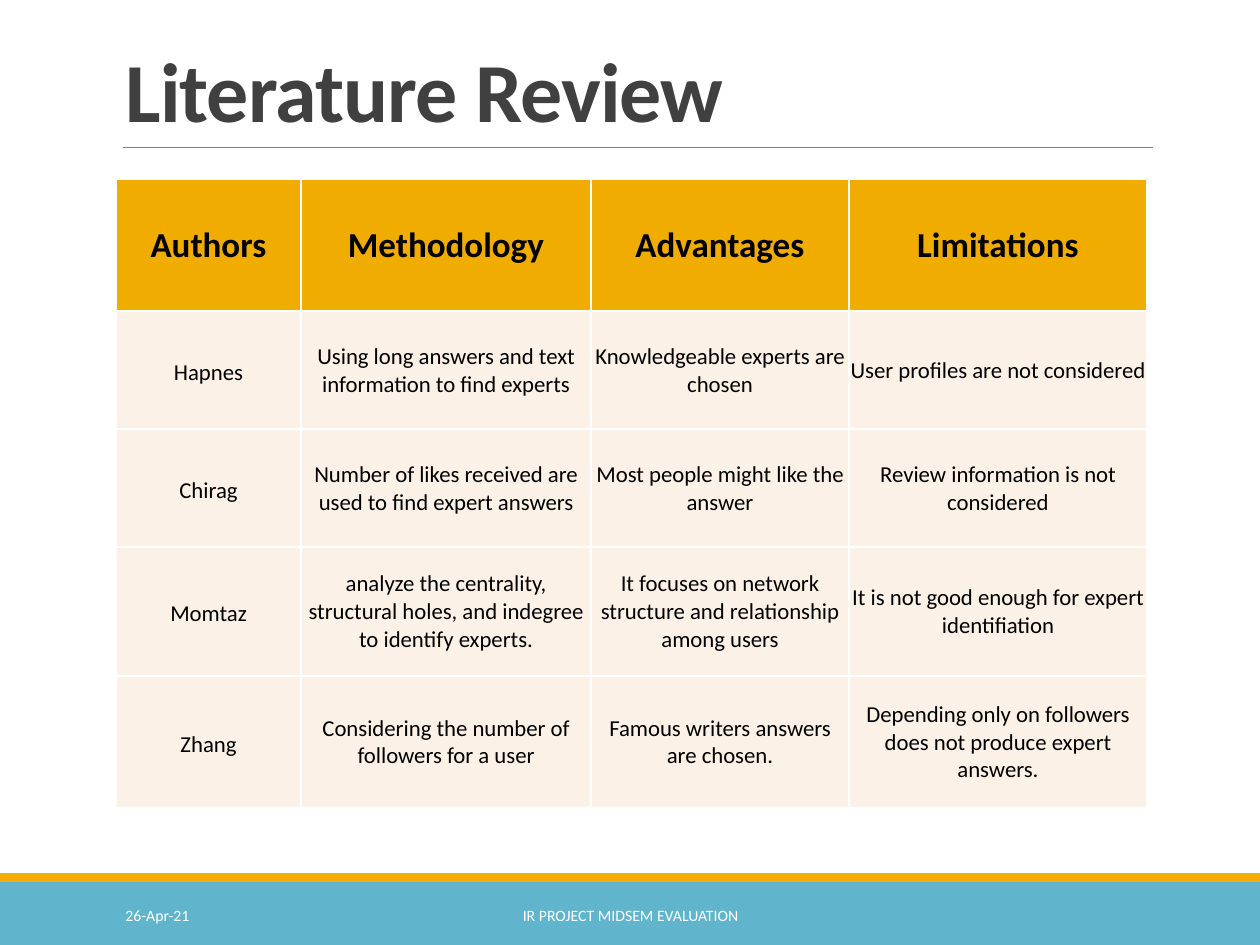
from dataclasses import dataclass

import lxml.etree
import pptx
import pptx.dml.color
import pptx.enum.shapes
import pptx.enum.text
import pptx.oxml.ns
import pptx.util

PX_PER_INCH = 126
FONT = "Calibri"

WHITE = pptx.dml.color.RGBColor(0xFF, 0xFF, 0xFF)
BLACK = pptx.dml.color.RGBColor(0x00, 0x00, 0x00)
CHARCOAL = pptx.dml.color.RGBColor(0x40, 0x40, 0x40)
GRAY = pptx.dml.color.RGBColor(0x80, 0x80, 0x80)
TEAL = pptx.dml.color.RGBColor(0x60, 0xB5, 0xCC)
AMBER = pptx.dml.color.RGBColor(0xF0, 0xAD, 0x00)
CREAM = pptx.dml.color.RGBColor(0xFC, 0xF1, 0xE7)

LEFT = pptx.enum.text.PP_ALIGN.LEFT
CENTER = pptx.enum.text.PP_ALIGN.CENTER
MIDDLE = pptx.enum.text.MSO_ANCHOR.MIDDLE
BOTTOM = pptx.enum.text.MSO_ANCHOR.BOTTOM


@dataclass
class Box:
    left: int
    top: int
    width: int
    height: int


@dataclass
class Band:
    box: Box
    color: pptx.dml.color.RGBColor


@dataclass
class Label:
    text: str
    box: Box
    size: int
    color: pptx.dml.color.RGBColor
    bold: bool = False
    align: pptx.enum.text.PP_ALIGN = LEFT
    anchor: pptx.enum.text.MSO_ANCHOR = MIDDLE
    line_spacing: float = 1.0
    letter_spacing: float = 0


BANDS = [
    Band(Box(0, 882, 1260, 63), TEAL),
    Band(Box(0, 873, 1260, 9), AMBER),
]
LABELS = [
    Label("Literature Review", Box(113, 39, 1040, 107), 48, CHARCOAL, bold=True,
          anchor=BOTTOM, line_spacing=0.85, letter_spacing=-0.5),
    Label("26-Apr-21", Box(113, 890, 256, 50), 9, WHITE),
    Label("IR PROJECT MIDSEM EVALUATION", Box(381, 890, 499, 50), 9, WHITE, align=CENTER),
]

TABLE_LEFT, TABLE_TOP = 116, 179
COLUMN_WIDTHS = [185, 290, 258, 298]
ROW_HEIGHTS = [132, 118, 118, 129, 132]
REVIEW_ROWS = [
    ["Authors", "Methodology", "Advantages", "Limitations"],
    ["Hapnes", "Using long answers and text information to find experts",
     "Knowledgeable experts are chosen", "User profiles are not considered"],
    ["Chirag", "Number of likes received are used to find expert answers",
     "Most people might like the answer", "Review information is not considered"],
    ["Momtaz", "analyze the centrality, structural holes, and indegree to identify experts.",
     "It focuses on network structure and relationship among users",
     "It is not good enough for expert identifiation"],
    ["Zhang", "Considering the number of followers for a user",
     "Famous writers answers are chosen.",
     "Depending only on followers does not produce expert answers."],
]


def px(length: int) -> pptx.util.Emu:
    return pptx.util.Emu(round(length * 914400 / PX_PER_INCH))


def place(box: Box) -> list[pptx.util.Emu]:
    return [px(length) for length in (box.left, box.top, box.width, box.height)]


def format_paragraph(paragraph, size: int, color: pptx.dml.color.RGBColor, bold: bool,
                     align: pptx.enum.text.PP_ALIGN, line_spacing: float) -> None:
    paragraph.alignment = align
    paragraph.line_spacing = line_spacing
    for run in paragraph.runs:
        run.font.name = FONT
        run.font.size = pptx.util.Pt(size)
        run.font.bold = bold
        run.font.color.rgb = color


def draw_band(slide, band: Band) -> None:
    shape = slide.shapes.add_shape(pptx.enum.shapes.MSO_SHAPE.RECTANGLE, *place(band.box))
    shape.shadow.inherit = False
    shape.fill.solid()
    shape.fill.fore_color.rgb = band.color
    shape.line.fill.background()


def draw_rule(slide, left: int, right: int, top: int) -> None:
    connector = slide.shapes.add_connector(
        pptx.enum.shapes.MSO_CONNECTOR.STRAIGHT, px(left), px(top), px(right), px(top))
    connector.line.color.rgb = GRAY
    connector.line.width = pptx.util.Pt(0.5)
    lxml.etree.SubElement(connector._element.spPr, pptx.oxml.ns.qn("a:effectLst"))


def draw_label(slide, label: Label) -> None:
    text_frame = slide.shapes.add_textbox(*place(label.box)).text_frame
    text_frame.word_wrap = True
    text_frame.vertical_anchor = label.anchor
    text_frame.text = label.text
    paragraph = text_frame.paragraphs[0]
    format_paragraph(paragraph, label.size, label.color, label.bold, label.align,
                     label.line_spacing)
    if label.letter_spacing:
        properties = paragraph.runs[0].font._element
        properties.set("spc", str(round(label.letter_spacing * 100)))


def add_borders(cell) -> None:
    properties = cell._tc.get_or_add_tcPr()
    for side in ("lnL", "lnR", "lnT", "lnB"):
        line = lxml.etree.SubElement(properties, pptx.oxml.ns.qn(f"a:{side}"),
                                     w=str(pptx.util.Pt(1)))
        fill = lxml.etree.SubElement(line, pptx.oxml.ns.qn("a:solidFill"))
        lxml.etree.SubElement(fill, pptx.oxml.ns.qn("a:srgbClr"), val=str(WHITE))


def draw_cell(cell, text: str, is_header: bool, is_author: bool) -> None:
    add_borders(cell)
    cell.fill.solid()
    cell.fill.fore_color.rgb = AMBER if is_header else CREAM
    cell.vertical_anchor = MIDDLE
    cell.margin_left = cell.margin_right = cell.margin_top = px(1)
    cell.margin_bottom = 0
    cell.text_frame.text = text
    format_paragraph(cell.text_frame.paragraphs[0], 20 if is_header else 13, BLACK,
                     is_header, CENTER, 1.15 if is_author else 1.0)


def draw_review_table(slide) -> None:
    box = Box(TABLE_LEFT, TABLE_TOP, sum(COLUMN_WIDTHS), sum(ROW_HEIGHTS))
    table = slide.shapes.add_table(len(ROW_HEIGHTS), len(COLUMN_WIDTHS), *place(box)).table
    for column, width in zip(table.columns, COLUMN_WIDTHS):
        column.width = px(width)
    for row, height in zip(table.rows, ROW_HEIGHTS):
        row.height = px(height)
    for row_index, texts in enumerate(REVIEW_ROWS):
        for column_index, text in enumerate(texts):
            is_header = row_index == 0
            draw_cell(table.cell(row_index, column_index), text, is_header,
                      is_author=column_index == 0 and not is_header)


def main() -> None:
    presentation = pptx.Presentation()
    presentation.slide_width = px(1260)
    presentation.slide_height = px(945)
    slide = presentation.slides.add_slide(presentation.slide_layouts[6])

    # Footer bands and the rule under the title
    for band in BANDS:
        draw_band(slide, band)
    draw_rule(slide, 123, 1153, 147)

    # Literature table
    draw_review_table(slide)

    # Title and footer texts
    for label in LABELS:
        draw_label(slide, label)

    presentation.save("out.pptx")


if __name__ == "__main__":
    main()
